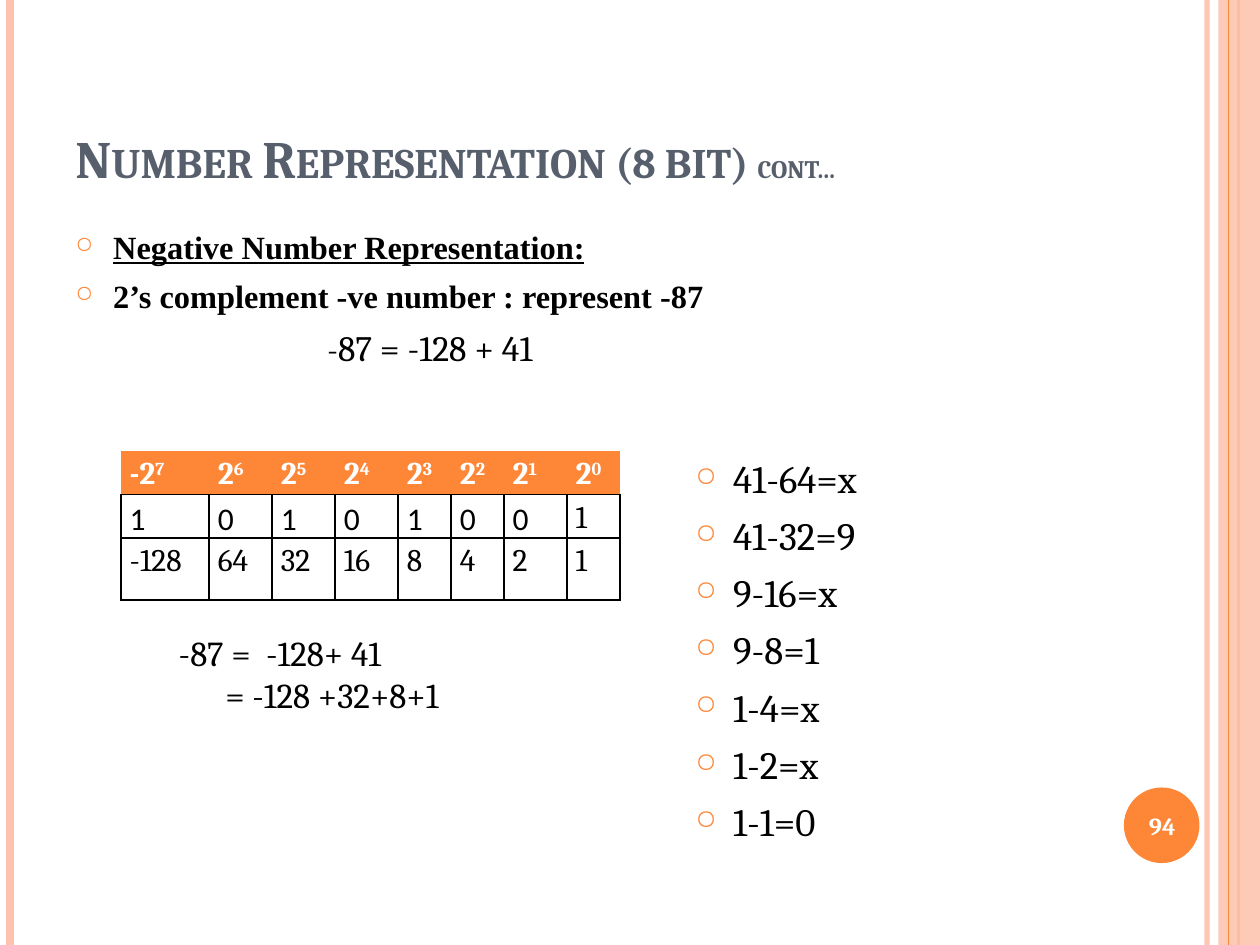
from lxml import etree
from pptx import Presentation
from pptx.dml.color import RGBColor
from pptx.enum.shapes import MSO_CONNECTOR, MSO_SHAPE
from pptx.enum.text import MSO_ANCHOR, PP_ALIGN
from pptx.oxml.ns import qn
from pptx.util import Inches, Pt

STRAIGHT = MSO_CONNECTOR.STRAIGHT
RECT, OVAL = MSO_SHAPE.RECTANGLE, MSO_SHAPE.OVAL
TOP, MIDDLE, BOTTOM = MSO_ANCHOR.TOP, MSO_ANCHOR.MIDDLE, MSO_ANCHOR.BOTTOM
CENTER = PP_ALIGN.CENTER

ORANGE, PEACH, SLATE = "FE8637", "FEC3AE", "575F6D"
BLACK, WHITE = "000000", "FFFFFF"
SERIF, TIMES, SANS = "Cambria", "Times New Roman", "Calibri"

POWERS = "76543210"
BITS = "10101001"
WEIGHTS = ["-128", "64", "32", "16", "8", "4", "2", "1"]
COL_WIDTHS = [0.7, 0.5, 0.5, 0.5, 0.42, 0.42, 0.5, 0.42]
ROW_HEIGHTS = [0.32, 0.27, 0.49]
STEPS = ["41-64=x", "41-32=9", "9-16=x", "9-8=1", "1-4=x", "1-2=x", "1-1=0"]


def rgb(color):
    return RGBColor.from_string(color)


def add_xml(parent, tag, **attrs):
    return etree.SubElement(parent, qn(tag), attrs)


def set_opacity(element, percent):
    for clr in element.iter(qn("a:srgbClr")):
        add_xml(clr, "a:alpha", val=str(percent * 1000))


def set_font(font, size, color=BLACK, name=SERIF, bold=False):
    font.size, font.name, font.bold = Pt(size), name, bold
    font.color.rgb = rgb(color)


def add_rule(slide, x, width, color, opacity=100):
    line = slide.shapes.add_connector(
        STRAIGHT, Inches(x), 0, Inches(x), Inches(7.5))
    line.line.color.rgb = rgb(color)
    line.line.width = Pt(width)
    if opacity < 100:
        set_opacity(line.line._ln, opacity)
    add_xml(line._element.spPr, "a:effectLst")


def add_block(slide, kind, box, color, opacity=100):
    sp = slide.shapes.add_shape(kind, *map(Inches, box))
    sp.shadow.inherit = False
    sp.fill.solid()
    sp.fill.fore_color.rgb = rgb(color)
    sp.line.fill.background()
    if opacity < 100:
        set_opacity(sp._element.spPr, opacity)


def add_text_frame(slide, box, anchor=TOP):
    tf = slide.shapes.add_textbox(*map(Inches, box)).text_frame
    tf.word_wrap = True
    tf.vertical_anchor = anchor
    return tf


def add_paragraph(tf, text, size, indent=0, bullet=False, before=0, **font):
    first = not tf.paragraphs[0].runs
    p = tf.paragraphs[0] if first else tf.add_paragraph()
    pPr = p._p.get_or_add_pPr()
    if bullet:
        pPr.set("marL", str(Inches(0.3)))
        pPr.set("indent", str(-Inches(0.3)))
        add_xml(add_xml(pPr, "a:buClr"), "a:srgbClr", val=ORANGE)
        add_xml(pPr, "a:buSzPct", val="70000")
        add_xml(pPr, "a:buChar", char="○")
    elif indent:
        pPr.set("marL", str(Inches(indent)))
        pPr.set("indent", "0")
    if before and not first:
        p.space_before = Pt(before)
    set_font(p.font, size, **font)
    r = p.add_run()
    r.text = text
    return p


def set_borders(cell, visible):
    tcPr = cell._tc.get_or_add_tcPr()
    for side in "LRTB":
        ln = add_xml(tcPr, f"a:ln{side}", w=str(Pt(1)))
        if side in visible:
            add_xml(add_xml(ln, "a:solidFill"), "a:srgbClr", val=BLACK)
        else:
            add_xml(ln, "a:noFill")


def fill_cell(cell, text, power="", header=False, font=SERIF):
    cell.margin_left = cell.margin_right = Inches(0.07)
    cell.margin_top = cell.margin_bottom = 0
    set_borders(cell, "B" if header else "LRTB")
    if header:
        cell.fill.solid()
        cell.fill.fore_color.rgb = rgb(ORANGE)
    else:
        cell.fill.background()
    p = add_paragraph(cell.text_frame, text, 18, name=font, bold=header,
                      color=WHITE if header else BLACK)
    p.line_spacing = 1.15
    if power:
        r = p.add_run()
        r.text = power
        r.font._element.set("baseline", "30000")


def add_bit_table(slide):
    table = slide.shapes.add_table(
        3, 8, Inches(0.96), Inches(3.58),
        Inches(sum(COL_WIDTHS)), Inches(sum(ROW_HEIGHTS))).table
    for row, height in zip(table.rows, ROW_HEIGHTS):
        row.height = Inches(height)
    for i, width in enumerate(COL_WIDTHS):
        table.columns[i].width = Inches(width)
        fill_cell(table.cell(0, i), "-2" if i == 0 else "2", POWERS[i], True)
        fill_cell(table.cell(1, i), BITS[i], font=SERIF if i == 7 else SANS)
        fill_cell(table.cell(2, i), WEIGHTS[i])


def add_decoration(slide):
    add_rule(slide, 9.58, 3, PEACH, 93)
    add_rule(slide, 0.08, 4.5, PEACH)
    add_rule(slide, 9.83, 1.5, ORANGE)
    add_block(slide, RECT, (9.67, 0, 0.33, 7.5), PEACH, 87)
    add_rule(slide, 9.75, 0.75, ORANGE)
    add_block(slide, OVAL, (8.92, 6.25, 0.6, 0.6), ORANGE)


def main():
    prs = Presentation()
    prs.slide_width, prs.slide_height = Inches(10), Inches(7.5)
    slide = prs.slides.add_slide(prs.slide_layouts[6])
    add_decoration(slide)

    # Title in small caps
    tf = add_text_frame(slide, (0.5, 0.3, 8.17, 1.25), BOTTOM)
    p = add_paragraph(tf, "Number Representation (8 bit) ", 30,
                      color=SLATE, bold=True)
    r = p.add_run()
    r.text = "cont…"
    r.font.size = Pt(18)
    for r in p.runs:
        r.font._element.set("cap", "small")

    # Page number
    tf = add_text_frame(slide, (8.89, 6.27, 0.67, 0.57), MIDDLE)
    add_paragraph(tf, "94", 14, color=WHITE, bold=True).alignment = CENTER

    # Problem statement
    tf = add_text_frame(slide, (0.5, 1.75, 8.92, 1.42))
    p = add_paragraph(tf, "Negative Number Representation:", 18.5,
                      bullet=True, name=TIMES, bold=True)
    p.font.underline = True
    add_paragraph(tf, "2’s complement -ve number : represent -87", 18.5,
                  bullet=True, before=6, name=TIMES, bold=True)
    p = add_paragraph(tf, "-", 20.4, indent=2, before=6)
    p.runs[0].font.size = Pt(18.5)
    p.add_run().text = "87 = -128 + 41"

    # Subtraction steps
    tf = add_text_frame(slide, (5.42, 3.56, 3.29, 3))
    for step in STEPS:
        add_paragraph(tf, step, 22.2, bullet=True, before=6)

    add_bit_table(slide)

    # Resulting sum
    tf = add_text_frame(slide, (1.32, 4.96, 3.45, 0.77))
    add_paragraph(tf, "-87 =  -128+ 41", 20)
    add_paragraph(tf, "= -128 +32+8+1", 20, indent=0.37)

    prs.save("out.pptx")


if __name__ == "__main__":
    main()
